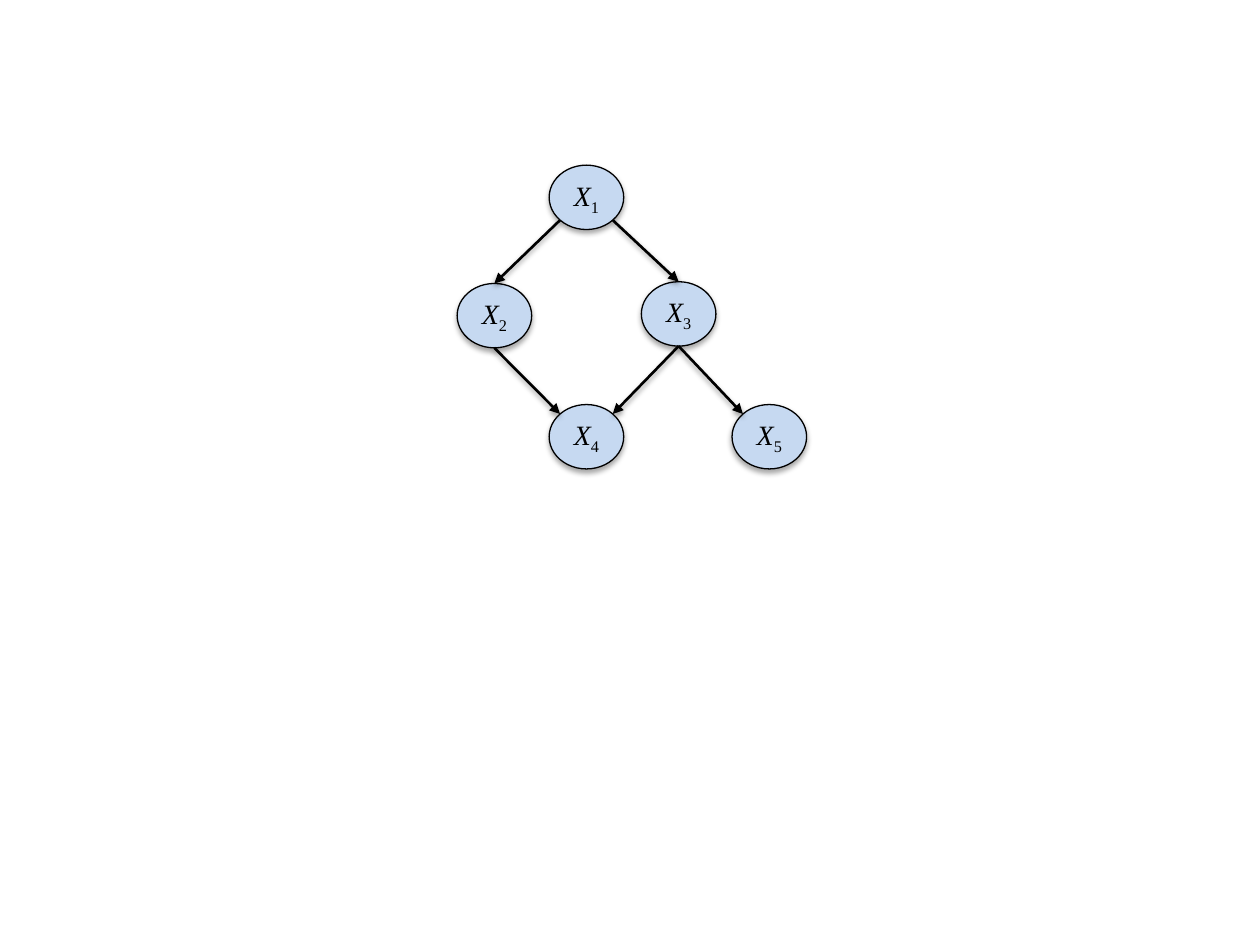
import math
import pptx
import pptx.dml.color
import pptx.enum.shapes
import pptx.enum.text
import pptx.oxml
import pptx.oxml.ns
import pptx.util

Pt = pptx.util.Pt

NODES = {
    "1": (313.8, 94.4),
    "2": (261.2, 162),
    "3": (366.5, 161),
    "4": (313.8, 231.2),
    "5": (418.3, 231.2),
}
EDGES = [
    ("1", "bottom left", "2", "top"),
    ("1", "bottom right", "3", "top"),
    ("2", "bottom", "4", "top left"),
    ("3", "bottom", "4", "top right"),
    ("3", "bottom", "5", "top left"),
]
NODE_WIDTH, NODE_HEIGHT = 42.6, 36.8
SITE_ANGLES = {
    "bottom right": 45,
    "bottom": 90,
    "bottom left": 135,
    "top left": 225,
    "top": 270,
    "top right": 315,
}
THEME = {
    "fill": pptx.dml.color.RGBColor.from_string("C6D9F1"),
    "ink": pptx.dml.color.RGBColor.from_string("000000"),
    "font": "Times New Roman",
    "size": 16,
    "node line": 0.75,
    "edge line": 1.5,
    "node shadow": {"alpha": 35, "blur": 3.1, "distance": 1.8},
    "edge shadow": {"alpha": 38, "blur": 3.1, "distance": 1.6},
}
FONT_FORMAT = {"name": THEME["font"], "size": Pt(THEME["size"])}
FRAME_FORMAT = {
    "margin_left": 0,
    "margin_right": 0,
    "margin_top": 0,
    "margin_bottom": 0,
    "word_wrap": False,
    "vertical_anchor": pptx.enum.text.MSO_ANCHOR.MIDDLE,
}


def apply_format(target, values):
    for name, value in values.items():
        setattr(target, name, value)


def add_shadow(shape, shadow):
    properties = shape.element.spPr
    for effects in properties.findall(pptx.oxml.ns.qn("a:effectLst")):
        properties.remove(effects)
    properties.append(pptx.oxml.parse_xml(
        f'<a:effectLst {pptx.oxml.ns.nsdecls("a")}>'
        f'<a:outerShdw blurRad="{Pt(shadow["blur"])}" dist="{Pt(shadow["distance"])}" '
        'dir="5400000" rotWithShape="0"><a:srgbClr val="000000">'
        f'<a:alpha val="{shadow["alpha"] * 1000}"/>'
        '</a:srgbClr></a:outerShdw></a:effectLst>'
    ))


def set_line(shape, width):
    shape.line.color.rgb = THEME["ink"]
    shape.line.width = Pt(width)


def add_node(slide, number, left, top):
    shape = slide.shapes.add_shape(
        pptx.enum.shapes.MSO_SHAPE.OVAL, Pt(left), Pt(top), Pt(NODE_WIDTH), Pt(NODE_HEIGHT)
    )
    shape.shadow.inherit = False
    shape.fill.solid()
    shape.fill.fore_color.rgb = THEME["fill"]
    set_line(shape, THEME["node line"])
    add_shadow(shape, THEME["node shadow"])
    apply_format(shape.text_frame, FRAME_FORMAT)
    paragraph = shape.text_frame.paragraphs[0]
    paragraph.alignment = pptx.enum.text.PP_ALIGN.CENTER
    for text, italic in (("X", True), (number, False)):
        run = paragraph.add_run()
        run.text = text
        apply_format(run.font, {**FONT_FORMAT, "italic": italic})
        run.font.color.rgb = THEME["ink"]
    run._r.get_or_add_rPr().set("baseline", "-25000")
    return shape


def site_position(number, site):
    left, top = NODES[number]
    angle = math.radians(SITE_ANGLES[site])
    return (
        Pt(left + NODE_WIDTH / 2 * (1 + math.cos(angle))),
        Pt(top + NODE_HEIGHT / 2 * (1 + math.sin(angle))),
    )


def add_edge(slide, shapes, start, start_site, end, end_site):
    connector = slide.shapes.add_connector(
        pptx.enum.shapes.MSO_CONNECTOR.STRAIGHT,
        *site_position(start, start_site),
        *site_position(end, end_site),
    )
    if end_site == "top":
        connector.end_connect(shapes[end], 0)
    set_line(connector, THEME["edge line"])
    connector.line._get_or_add_ln().append(
        pptx.oxml.parse_xml(f'<a:tailEnd {pptx.oxml.ns.nsdecls("a")} type="triangle"/>')
    )
    add_shadow(connector, THEME["edge shadow"])


def main():
    presentation = pptx.Presentation()
    presentation.slide_width = Pt(720)
    presentation.slide_height = Pt(540)
    slide = presentation.slides.add_slide(presentation.slide_layouts[6])
    shapes = {number: add_node(slide, number, *place) for number, place in NODES.items()}
    for edge in EDGES:
        add_edge(slide, shapes, *edge)
    presentation.save("out.pptx")


if __name__ == "__main__":
    main()
